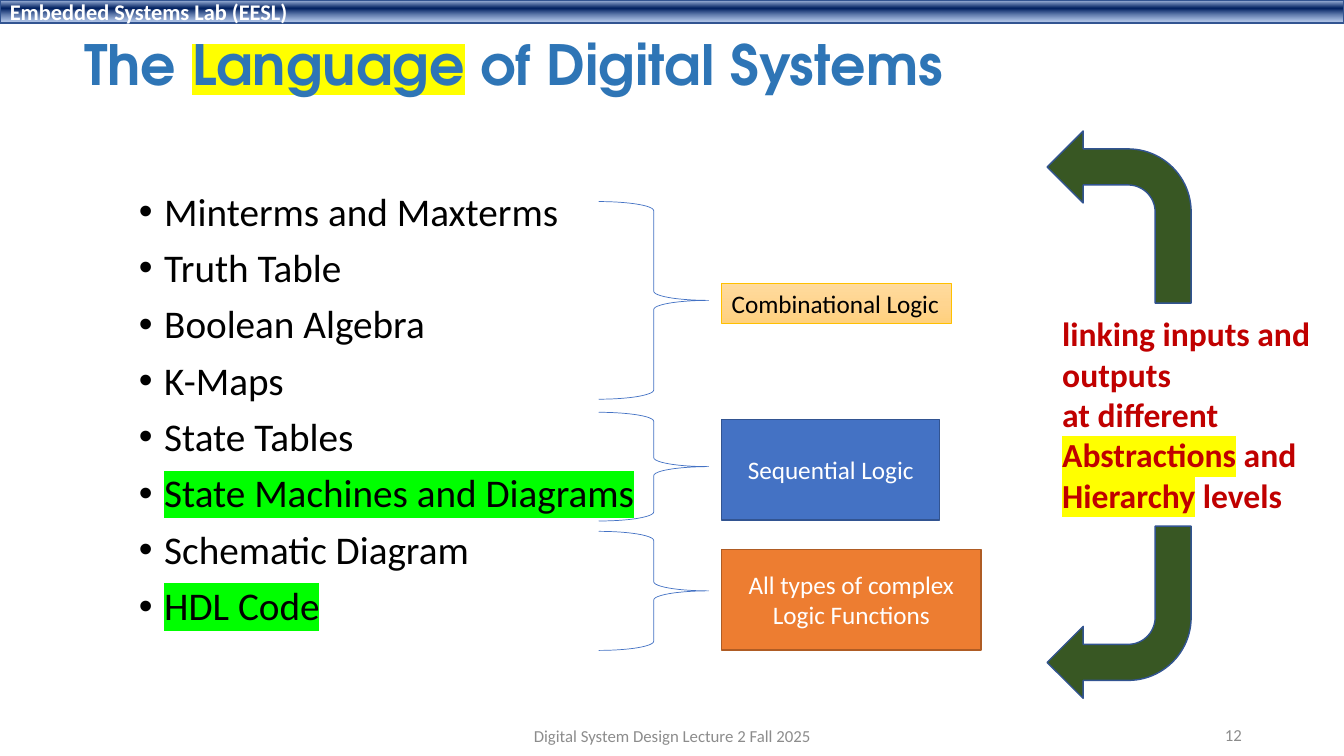
from lxml import etree
from pptx import Presentation
from pptx.dml.color import RGBColor
from pptx.enum.shapes import MSO_SHAPE
from pptx.enum.text import MSO_ANCHOR, MSO_AUTO_SIZE, PP_ALIGN
from pptx.oxml.ns import qn
from pptx.util import Cm, Pt

RECTANGLE, BRACE, BENT_ARROW = MSO_SHAPE.RECTANGLE, MSO_SHAPE.RIGHT_BRACE, MSO_SHAPE.BENT_ARROW
TOP, MIDDLE = MSO_ANCHOR.TOP, MSO_ANCHOR.MIDDLE
LEFT, CENTER, RIGHT = PP_ALIGN.LEFT, PP_ALIGN.CENTER, PP_ALIGN.RIGHT

COLORS = {
    "white": "FFFFFF", "black": "000000", "gray": "8C8C8C", "title": "2E75B6",
    "red": "C00000", "yellow": "FFFF00", "lime": "00FF00", "blue": "4472C4",
    "navy": "325491", "orange": "ED7D31", "brown": "AF5C24", "gold": "FFC000",
    "green": "385723",
}
HEADER_STOPS = [(2, "ABC0E4", 100), (38, "002060", 100), (93, "7E9ED6", 64)]
GOLD_STOPS = [(0, "FFDB9E", 100), (50, "FFD590", 100), (100, "FFD07C", 100)]


def write_text(shape, lines, size, color, bold=False, align=LEFT, anchor=TOP,
               font="Calibri", wrap=True):
    """Fill a shape with lines, each a list of (text, highlight colour or None)."""
    frame = shape.text_frame
    frame.word_wrap = wrap
    frame.vertical_anchor = anchor
    frame.auto_size = MSO_AUTO_SIZE.NONE if wrap else MSO_AUTO_SIZE.SHAPE_TO_FIT_TEXT
    for index, line in enumerate(lines):
        paragraph = frame.add_paragraph() if index else frame.paragraphs[0]
        paragraph.alignment = align
        for text, highlight in line:
            run = paragraph.add_run()
            run.text = text
            run.font.size = Pt(size)
            run.font.bold = bold
            run.font.color.rgb = RGBColor.from_string(COLORS[color])
            run.font.name = font
            if highlight:
                mark = etree.Element(qn("a:highlight"))
                etree.SubElement(mark, qn("a:srgbClr"), val=COLORS[highlight])
                run.font._element.find(qn("a:latin")).addprevious(mark)
    return frame


def add_block(kind, left, top, width, height, line, line_width, fill=None, stops=()):
    """Add a preset shape with a solid fill, a vertical gradient or no fill."""
    shape = slide.shapes.add_shape(kind, Cm(left), Cm(top), Cm(width), Cm(height))
    shape.shadow.inherit = False
    shape.line.color.rgb = RGBColor.from_string(COLORS[line])
    shape.line.width = Pt(line_width)
    if fill:
        shape.fill.solid()
        shape.fill.fore_color.rgb = RGBColor.from_string(COLORS[fill])
    elif stops:
        shape.fill.gradient()
        shape.fill.gradient_angle = 270
        stop_list = next(shape._element.iter(qn("a:gsLst")))
        for old_stop in list(stop_list):
            stop_list.remove(old_stop)
        for position, color, opacity in stops:
            stop = etree.SubElement(stop_list, qn("a:gs"), pos=str(position * 1000))
            tint = etree.SubElement(stop, qn("a:srgbClr"), val=color)
            if opacity < 100:
                etree.SubElement(tint, qn("a:alpha"), val=str(opacity * 1000))
    else:
        shape.fill.background()
    return shape


presentation = Presentation()
presentation.slide_width, presentation.slide_height = Cm(33.87), Cm(19.05)
slide = presentation.slides.add_slide(presentation.slide_layouts[6])

# Header and title
header = add_block(RECTANGLE, 0, 0, 33.87, 0.58, "navy", 1, stops=HEADER_STOPS)
write_text(header, [[("Embedded Systems Lab (EESL)", None)]], 16, "white", True, anchor=MIDDLE)

title = slide.shapes.add_textbox(Cm(1.88), Cm(0.94), Cm(29.21), Cm(3.05))
title_line = [("The ", None), ("Language", "yellow"), (" of Digital Systems", None)]
title_frame = write_text(title, [title_line], 39.6, "title", True, font="TeX Gyre Adventor")
title_frame.margin_top = 0
title_frame.paragraphs[0].line_spacing = 0.9

# Bulleted list of representations
topics = [
    ("Minterms and Maxterms", None), ("Truth Table", None), ("Boolean Algebra", None),
    ("K-Maps", None), ("State Tables", None), ("State Machines and Diagrams", "lime"),
    ("Schematic Diagram", None), ("HDL Code", "lime"),
]
body = slide.shapes.add_textbox(Cm(3.25), Cm(4.72), Cm(29.21), Cm(12.09))
body_frame = write_text(body, [[topic] for topic in topics], 28, "black")
for paragraph in body_frame.paragraphs:
    paragraph.line_spacing = 0.9
    paragraph.space_before = Pt(10)
    properties = paragraph._p.get_or_add_pPr()
    properties.set("marL", str(Cm(0.64)))
    properties.set("indent", str(-Cm(0.64)))
    etree.SubElement(properties, qn("a:buFont"), typeface="Arial")
    etree.SubElement(properties, qn("a:buChar"), char="•")

# Braces and the logic families they lead to
for top, height in [(5.08, 4.98), (10.39, 2.74), (13.39, 3)]:
    add_block(BRACE, 15.09, top, 2.77, height, "blue", 0.5)

combinational = add_block(RECTANGLE, 18.19, 7.14, 5.79, 1.02, "gold", 0.5, stops=GOLD_STOPS)
write_text(combinational, [[("Combinational Logic", None)]], 18, "black", wrap=False)
families = [
    ("Sequential Logic", 10.57, 5.49, "blue", "navy"),
    ("All types of complex Logic Functions", 13.84, 6.53, "orange", "brown"),
]
for label, top, width, fill, line in families:
    family = add_block(RECTANGLE, 18.19, top, width, 2.54, line, 1, fill)
    write_text(family, [[(label, None)]], 18, "white", align=CENTER, anchor=MIDDLE)

# Abstraction note between its two arrows
note = slide.shapes.add_textbox(Cm(26.52), Cm(7.77), Cm(7.01), Cm(5.38))
note_lines = [
    [("linking inputs and", None)],
    [("outputs", None)],
    [("at different", None)],
    [("Abstractions", "yellow"), (" and", None)],
    [("Hierarchy", "yellow"), (" levels", None)],
]
write_text(note, note_lines, 24, "red", True, wrap=False)
for top, flips in [(3.3, ["flipH"]), (13.26, ["flipH", "flipV"])]:
    arrow = add_block(BENT_ARROW, 26.39, top, 3.63, 4.34, "navy", 1, "green")
    for flip in flips:
        arrow._element.spPr.find(qn("a:xfrm")).set(flip, "1")

# Footer
footers = [
    ("Digital System Design Lecture 2 Fall 2025", 11.23, 18.03, 11.43, CENTER),
    ("12", 23.93, 18.01, 7.62, RIGHT),
]
for text, left, top, width, align in footers:
    footer = slide.shapes.add_textbox(Cm(left), Cm(top), Cm(width), Cm(1.02))
    write_text(footer, [[(text, None)]], 12, "gray", align=align, anchor=MIDDLE)

presentation.save("out.pptx")
